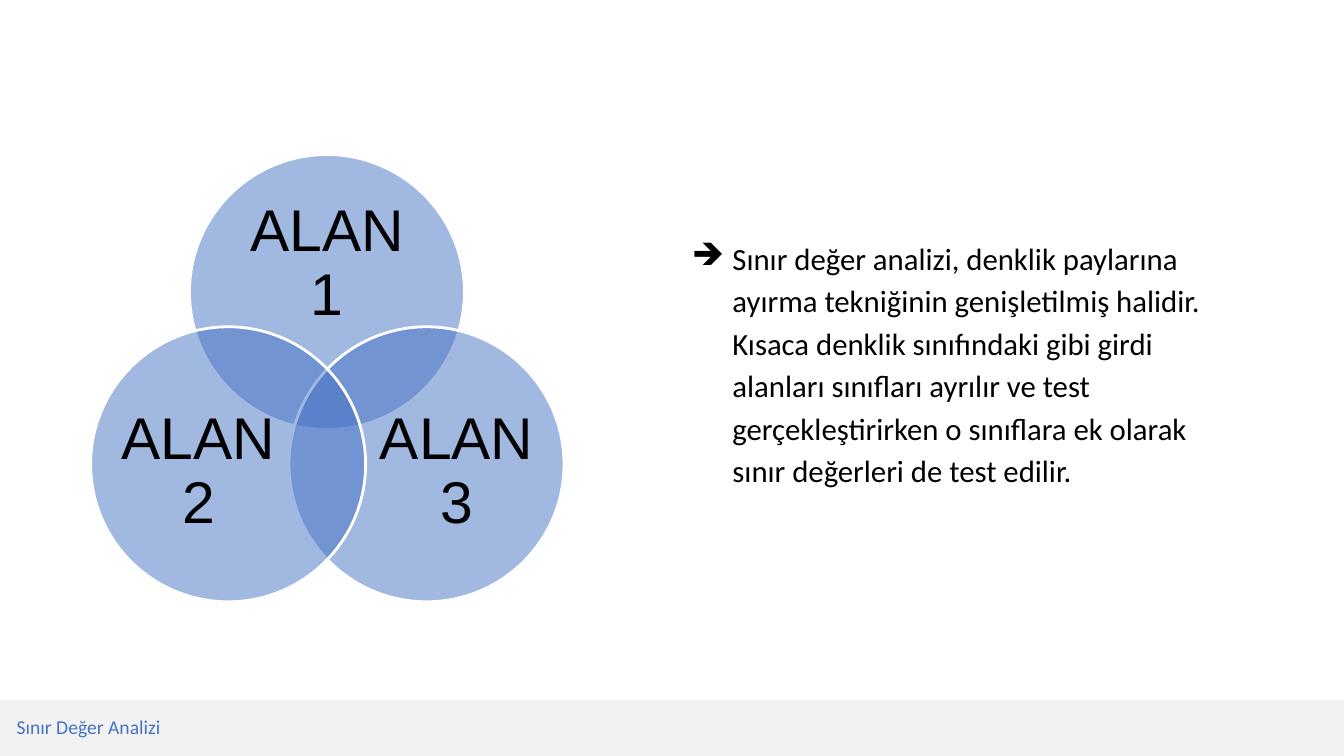
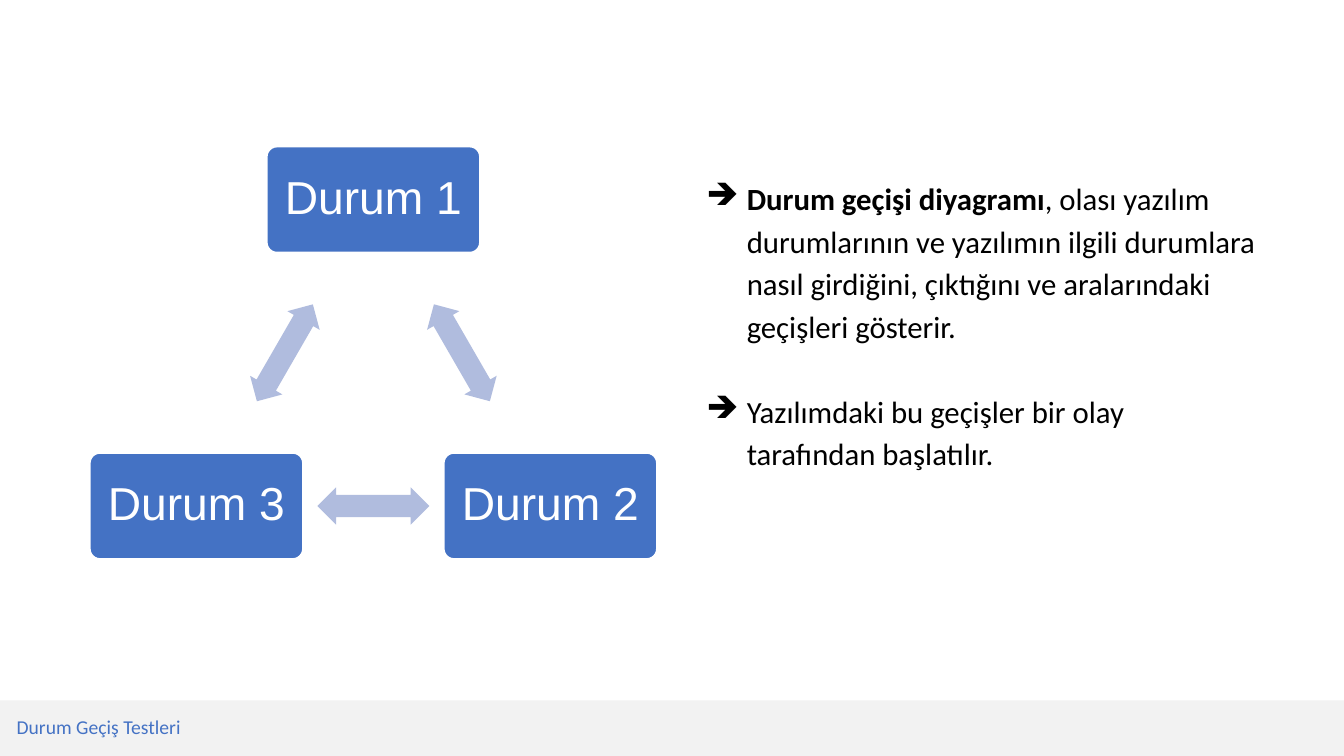
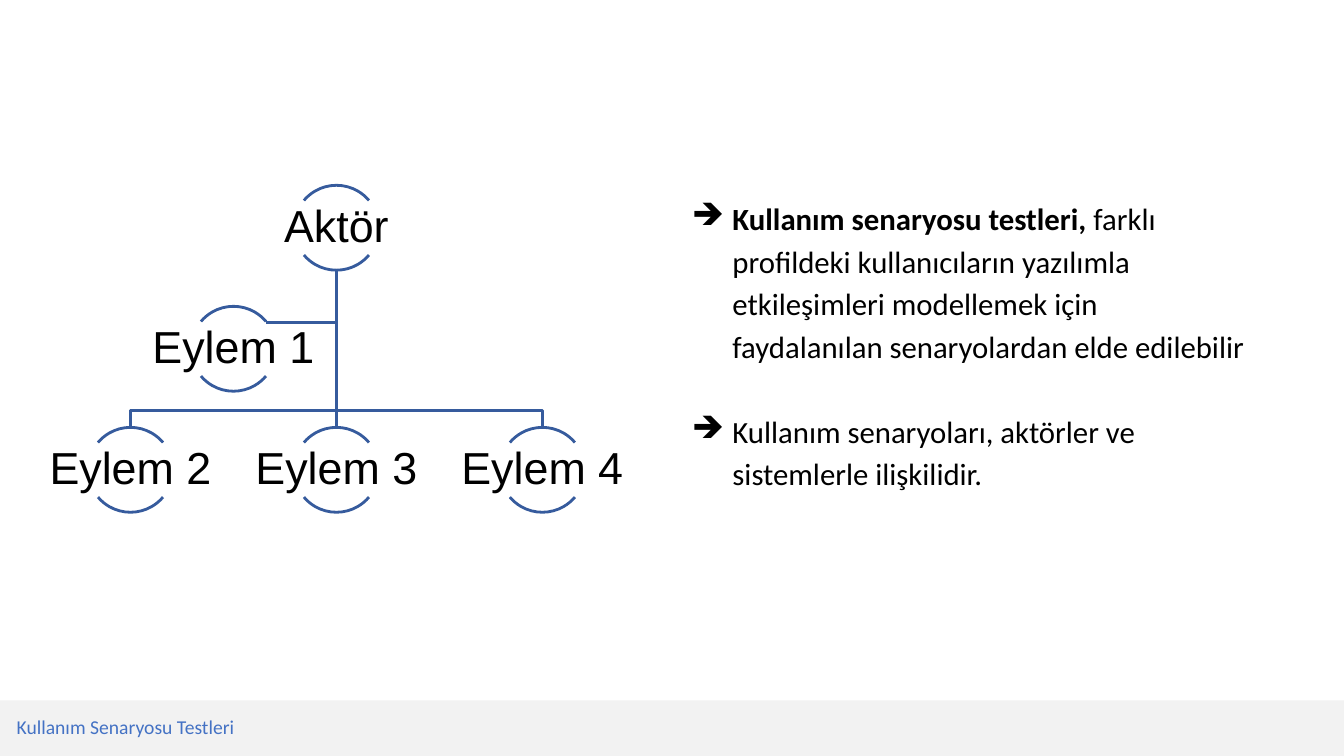
from lxml.etree import SubElement
from pptx import Presentation
from pptx.dml.color import RGBColor
from pptx.enum.shapes import MSO_CONNECTOR, MSO_SHAPE
from pptx.enum.text import MSO_ANCHOR, PP_ALIGN
from pptx.oxml.ns import qn
from pptx.util import Cm, Pt

rgb = RGBColor.from_string
BLUE, NAVY, PALE = "4472C4", "365B9D", "B0BCDE"
GREY, WHITE, BLACK = "F2F2F2", "FFFFFF", "000000"


def paint(shape, fill=None, line=None):
    """Set a plain fill and a 2 pt outline, either of which may be absent."""
    shape.shadow.inherit = False
    if fill:
        shape.fill.solid()
        shape.fill.fore_color.rgb = rgb(fill)
    else:
        shape.fill.background()
    if line:
        shape.line.color.rgb = rgb(line)
        shape.line.width = Pt(2)
    else:
        shape.line.fill.background()


def label(shape, text, size, color, font="Arial", align=PP_ALIGN.CENTER,
          anchor=MSO_ANCHOR.MIDDLE, pad=(0, 0)):
    """Write one paragraph; pad is the side and the top inset in cm."""
    frame = shape.text_frame
    frame.word_wrap = True
    frame.vertical_anchor = anchor
    frame.margin_left = frame.margin_right = Cm(pad[0])
    frame.margin_top = frame.margin_bottom = Cm(pad[1])
    frame.text = text
    para = frame.paragraphs[0]
    para.alignment = align
    para.line_spacing = 0.9
    para.font.size = Pt(size)
    para.font.name = font
    para.font.color.rgb = rgb(color)


deck = Presentation()
deck.slide_width, deck.slide_height = Cm(33.87), Cm(19.05)

# Footer, left, top and height of the body, then (bold lead, rest) per bullet
pages = [
    ("Sınır Değer Analizi", 16.94, 5.77, 7.54, [
        ("", "Sınır değer analizi, denklik paylarına ayırma tekniğinin "
             "genişletilmiş halidir. Kısaca denklik sınıfındaki gibi girdi "
             "alanları sınıfları ayrılır ve test gerçekleştirirken o "
             "sınıflara ek olarak sınır değerleri de test edilir."),
    ]),
    ("Durum Geçiş Testleri", 17.3, 4.27, 8.43, [
        ("Durum geçişi diyagramı",
         ", olası yazılım durumlarının ve yazılımın ilgili durumlara nasıl "
         "girdiğini, çıktığını ve aralarındaki geçişleri gösterir."),
        ("", "Yazılımdaki bu geçişler bir olay tarafından başlatılır."),
    ]),
    ("Kullanım Senaryosu Testleri", 16.94, 4.78, 9.5, [
        ("Kullanım senaryosu testleri, ",
         "farklı profildeki kullanıcıların yazılımla etkileşimleri "
         "modellemek için faydalanılan senaryolardan elde edilebilir"),
        ("", "Kullanım senaryoları, aktörler ve sistemlerle ilişkilidir."),
    ]),
]

boards = []
for footer, left, top, high, points in pages:
    slide = deck.slides.add_slide(deck.slide_layouts[6])
    boards.append(slide.shapes)
    band = slide.shapes.add_shape(MSO_SHAPE.RECTANGLE, 0, Cm(17.65),
                                  deck.slide_width, Cm(1.4))
    paint(band, GREY)
    box = slide.shapes.add_textbox(Cm(0.17), Cm(17.81), Cm(14.33), Cm(0.94))
    label(box, footer, 14, BLUE, "Calibri", PP_ALIGN.LEFT,
          MSO_ANCHOR.BOTTOM, (0.25, 0.13))

    body = slide.shapes.add_textbox(Cm(left), Cm(top), Cm(14.68), Cm(high))
    frame = body.text_frame
    frame.word_wrap = True
    for i, (lead, rest) in enumerate(points):
        para = frame.add_paragraph() if i else frame.paragraphs[0]
        props = para._p.get_or_add_pPr()
        props.set("marL", str(Cm(1.27)))
        props.set("indent", str(-Cm(1.02)))
        tint = SubElement(props, qn("a:buClr"))
        SubElement(tint, qn("a:srgbClr"), val=BLACK)
        SubElement(props, qn("a:buChar"), char="➔")
        para.line_spacing = 1.15
        if i:
            para.space_before = Pt(30.4)
        for text, bold in ((lead, True), (rest, False)):
            if text:
                run = para.add_run()
                run.text = text
                run.font.size = Pt(22)
                run.font.name = "Calibri"
                run.font.bold = bold
                run.font.color.rgb = rgb(BLACK)

venn, cycle, tree = boards

# Three overlapping areas: circle centre, then text centre and size
size = 6.93
areas = [
    ("ALAN 1", 8.24, 7.36, 8.24, 6.67, 4.8, 3.12),
    ("ALAN 3", 10.75, 11.7, 11.51, 11.91, 4.17, 3.81),
    ("ALAN 2", 5.75, 11.7, 5, 11.91, 4.17, 3.81),
]
for name, x, y, tx, ty, wide, high in areas:
    disc = venn.add_shape(MSO_SHAPE.OVAL, Cm(x - size / 2), Cm(y - size / 2),
                          Cm(size), Cm(size))
    paint(disc, BLUE, WHITE)
    tint = disc._element.spPr.find(".//" + qn("a:srgbClr"))
    SubElement(tint, qn("a:alpha"), val="50000")
    box = venn.add_textbox(Cm(tx - wide / 2), Cm(ty - high / 2),
                           Cm(wide), Cm(high))
    label(box, name, 42, BLACK)

# Three states, with a double arrow halfway between each pair
states = [("Durum 1", 9.41, 5.03), ("Durum 2", 13.87, 12.75),
          ("Durum 3", 4.95, 12.75)]
wide, high = 5.4, 2.7
long, thick = 2.82, 0.94
for i, (name, x, y) in enumerate(states):
    box = cycle.add_shape(MSO_SHAPE.ROUNDED_RECTANGLE, Cm(x - wide / 2),
                          Cm(y - high / 2), Cm(wide), Cm(high))
    box.adjustments[0] = 0.1
    paint(box, BLUE, WHITE)
    label(box, name, 33, WHITE, pad=(0.36, 0.36))

    _, nx, ny = states[(i + 1) % 3]
    arrow = cycle.add_shape(MSO_SHAPE.LEFT_RIGHT_ARROW,
                            Cm((x + nx - long) / 2), Cm((y + ny - thick) / 2),
                            Cm(long), Cm(thick))
    arrow.adjustments[0], arrow.adjustments[1] = 0.6, 0.5
    arrow.rotation = 60 + 120 * i
    paint(arrow, PALE)

# Actor tree: lines first, then the nodes over them
mid, top, step, drop, size = 8.48, 5.74, 5.19, 3.05, 2.14
start, end, bus = top + size / 2, top + 2 * drop - size / 2, 10.34
paths = [[(mid, 8.13), (6.71, 8.13)]]
for x in (mid + step, mid - step):
    paths.append([(mid, bus), (x, bus), (x, end)])
for path in paths:
    pen = tree.build_freeform(Cm(mid), Cm(start))
    pen.add_line_segments([(Cm(x), Cm(y)) for x, y in path], close=False)
    paint(pen.convert_to_shape(), line=NAVY)
trunk = tree.add_connector(MSO_CONNECTOR.STRAIGHT, Cm(mid), Cm(start),
                           Cm(mid), Cm(end))
trunk.line.color.rgb = rgb(NAVY)
trunk.line.width = Pt(2)
SubElement(trunk._element.spPr, qn("a:effectLst"))

# Column and row of each node, counted from the actor
nodes = [("Aktör", 0, 0), ("Eylem 2", -1, 2), ("Eylem 3", 0, 2),
         ("Eylem 4", 1, 2), ("Eylem 1", -0.5, 1)]
wide, high = 4.29, 1.37
for name, col, row in nodes:
    x, y = mid + step * col, top + drop * row
    for first, last in ((132, 192), (24, 84)):
        arc = tree.add_shape(MSO_SHAPE.ARC, Cm(x - size / 2),
                             Cm(y - size / 2), Cm(size), Cm(size))
        arc.adjustments[0], arc.adjustments[1] = first, last
        paint(arc, line=NAVY)
    box = tree.add_textbox(Cm(x - wide / 2), Cm(y - high / 2),
                           Cm(wide), Cm(high))
    label(box, name, 32, BLACK, pad=(0.05, 0.05))

deck.save("out.pptx")
